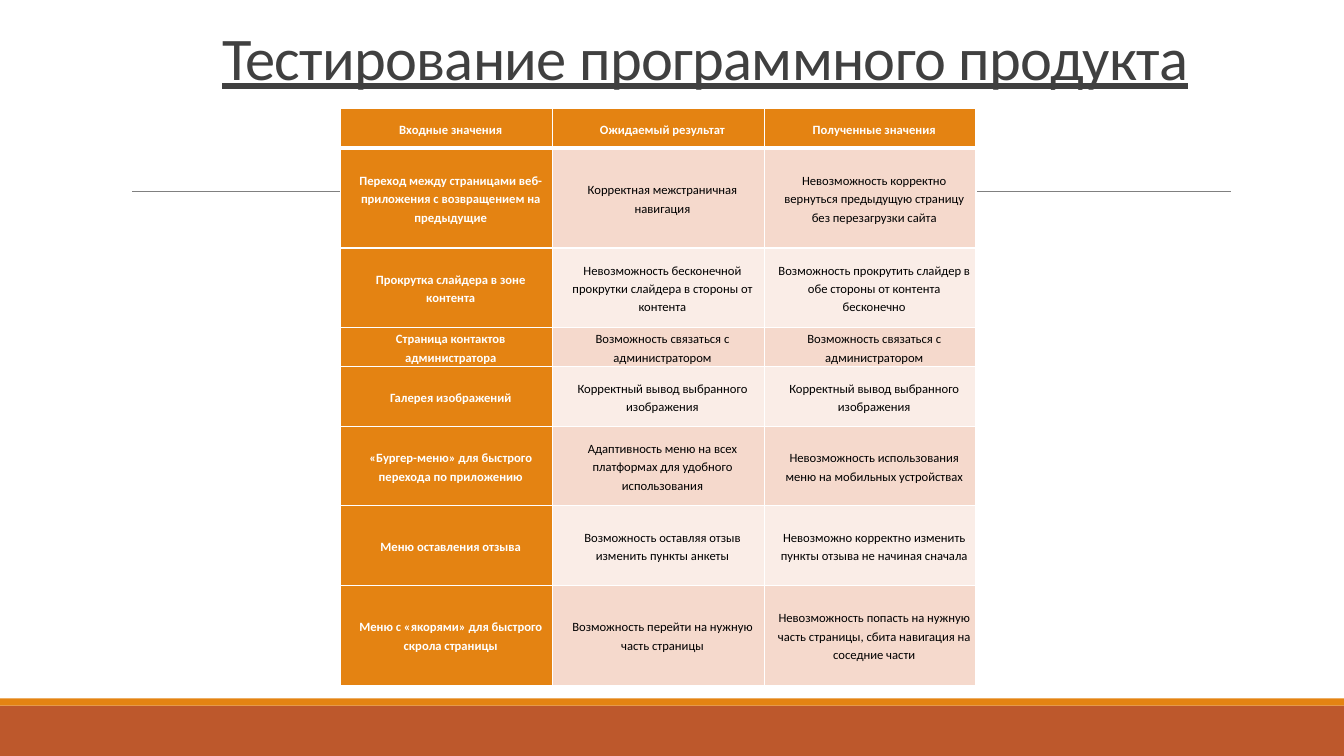
from lxml import etree
from pptx import Presentation
from pptx.dml.color import RGBColor
from pptx.enum.shapes import MSO_CONNECTOR, MSO_SHAPE
from pptx.enum.text import MSO_ANCHOR, MSO_AUTO_SIZE, PP_ALIGN
from pptx.oxml.ns import qn
from pptx.util import Inches, Pt

CENTER = PP_ALIGN.CENTER
MIDDLE, BOTTOM = MSO_ANCHOR.MIDDLE, MSO_ANCHOR.BOTTOM
RECTANGLE = MSO_SHAPE.RECTANGLE
STRAIGHT = MSO_CONNECTOR.STRAIGHT
NO_AUTOFIT = MSO_AUTO_SIZE.NONE

WHITE = RGBColor(0xFF, 0xFF, 0xFF)
BLACK = RGBColor(0x00, 0x00, 0x00)
DARK_GREY = RGBColor(0x40, 0x40, 0x40)
RULE_GREY = RGBColor(0x80, 0x80, 0x80)
ORANGE = RGBColor(0xE4, 0x83, 0x12)
RUST = RGBColor(0xBD, 0x58, 0x2C)
BANDS = (RGBColor(0xF5, 0xD9, 0xCC), RGBColor(0xFA, 0xED, 0xE7))

FONT = "Calibri"
WIDTH, HEIGHT = 13.33, 7.5
TITLE = "Тестирование программного продукта"
ROW_HEIGHTS = (0.39, 0.99, 0.79, 0.39, 0.59, 0.79, 0.79, 0.99)
TEST_CASES = (
    ("Входные значения", "Ожидаемый результат", "Полученные значения"),
    ("Переход между страницами веб-приложения с возвращением на предыдущие",
     "Корректная межстраничная навигация",
     "Невозможность корректно вернуться предыдущую страницу без перезагрузки сайта"),
    ("Прокрутка слайдера в зоне контента",
     "Невозможность бесконечной прокрутки слайдера в стороны от контента",
     "Возможность прокрутить слайдер в обе стороны от контента бесконечно"),
    ("Страница контактов администратора",
     "Возможность связаться с администратором",
     "Возможность связаться с администратором"),
    ("Галерея изображений",
     "Корректный вывод выбранного изображения",
     "Корректный вывод выбранного изображения"),
    ("«Бургер-меню» для быстрого перехода по приложению",
     "Адаптивность меню на всех платформах для удобного использования",
     "Невозможность использования меню на мобильных устройствах"),
    ("Меню оставления отзыва",
     "Возможность оставляя отзыв изменить пункты анкеты",
     "Невозможно корректно изменить пункты отзыва не начиная сначала"),
    ("Меню с «якорями» для быстрого скрола страницы",
     "Возможность перейти на нужную часть страницы",
     "Невозможность попасть на нужную часть страницы, сбита навигация на соседние части"),
)


def write_text(text_frame, text, size, color, bold=False, underline=False,
               line_spacing=1.0, space_before=0, indent=0, tracking=0):
    """Fill a text frame with one centred, formatted paragraph."""
    paragraph = text_frame.paragraphs[0]
    paragraph.alignment = CENTER
    paragraph.line_spacing = line_spacing
    paragraph.space_before = Pt(space_before)
    properties = paragraph._p.get_or_add_pPr()
    properties.set("marL", str(Inches(indent)))
    properties.set("indent", "0")
    run = paragraph.add_run()
    run.text = text
    font = run.font
    font.name, font.size = FONT, Pt(size)
    font.bold, font.underline = bold, underline
    font.color.rgb = color
    if tracking:
        run._r.get_or_add_rPr().set("spc", str(round(tracking * 100)))


def set_borders(cell, top=1, bottom=1):
    """Give a cell white borders, widths in points."""
    properties = cell._tc.get_or_add_tcPr()
    for tag, width in (("a:lnL", 1), ("a:lnR", 1), ("a:lnT", top), ("a:lnB", bottom)):
        line = etree.SubElement(properties, qn(tag), w=str(Pt(width)))
        fill = etree.SubElement(line, qn("a:solidFill"))
        etree.SubElement(fill, qn("a:srgbClr"), val=str(WHITE))


def add_bar(slide, left, top, width, height, color):
    bar = slide.shapes.add_shape(
        RECTANGLE, Inches(left), Inches(top), Inches(width), Inches(height))
    bar.shadow.inherit = False
    bar.fill.solid()
    bar.fill.fore_color.rgb = color
    bar.line.fill.background()


def add_footer(slide, left, top, width, height):
    """Rust band with a thin orange strip along its top."""
    strip = 0.07
    add_bar(slide, left, top + strip, width, height - strip, RUST)
    add_bar(slide, left, top, width, strip, ORANGE)


def add_rule(slide, left, top, width):
    rule = slide.shapes.add_connector(
        STRAIGHT, Inches(left), Inches(top), Inches(left + width), Inches(top))
    rule.line.color.rgb = RULE_GREY
    rule.line.width = Pt(0.5)
    etree.SubElement(rule._element.spPr, qn("a:effectLst"))


def add_title(slide, left, top, width, height):
    title = slide.shapes.title
    title.left, title.top = Inches(left), Inches(top)
    title.width, title.height = Inches(width), Inches(height)
    frame = title.text_frame
    frame.word_wrap = True
    frame.auto_size = NO_AUTOFIT
    frame.vertical_anchor = BOTTOM
    write_text(frame, TITLE, 43.2, DARK_GREY, underline=True,
               line_spacing=0.85, tracking=-0.5)


def add_test_table(slide, left, top, width):
    """Orange header row and first column, banded results."""
    column_count = len(TEST_CASES[0])
    table = slide.shapes.add_table(
        len(TEST_CASES), column_count, Inches(left), Inches(top),
        Inches(width), Inches(sum(ROW_HEIGHTS))).table
    for column in table.columns:
        column.width = Inches(width / column_count)
    for row, height in zip(table.rows, ROW_HEIGHTS):
        row.height = Inches(height)
    for row_index, texts in enumerate(TEST_CASES):
        for column_index, text in enumerate(texts):
            cell = table.cell(row_index, column_index)
            heading = row_index == 0 or column_index == 0
            cell.vertical_anchor = MIDDLE
            cell.margin_left = cell.margin_right = Inches(0.05)
            cell.margin_top = cell.margin_bottom = 0
            set_borders(cell, top=3 if row_index == 1 else 1,
                        bottom=3 if row_index == 0 else 1)
            cell.fill.solid()
            cell.fill.fore_color.rgb = ORANGE if heading else BANDS[(row_index - 1) % 2]
            write_text(cell.text_frame, text, 9, WHITE if heading else BLACK,
                       bold=heading, line_spacing=1.2, space_before=3, indent=0.08)


def main():
    presentation = Presentation()
    presentation.slide_width, presentation.slide_height = Inches(WIDTH), Inches(HEIGHT)
    title_only = presentation.slide_layouts[5]
    slide = presentation.slides.add_slide(title_only)
    slide.background.fill.solid()
    slide.background.fill.fore_color.rgb = WHITE
    add_footer(slide, 0, HEIGHT - 0.57, WIDTH, 0.57)
    add_rule(slide, 1.31, 1.9, 10.9)
    add_title(slide, 0.83, 0.23, 12.33, 0.74)
    add_test_table(slide, 3.38, 1.08, 6.3)
    presentation.save("out.pptx")


if __name__ == "__main__":
    main()
